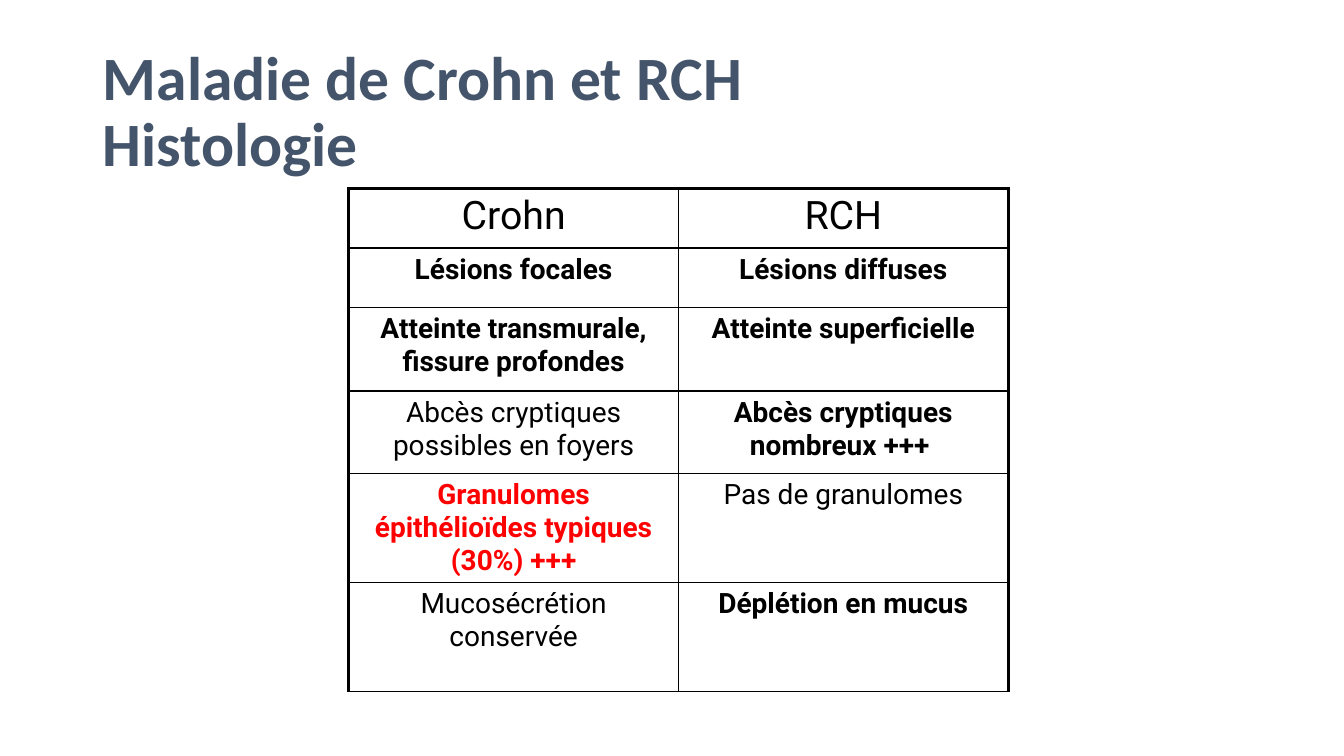
from dataclasses import dataclass

from lxml.etree import SubElement
from pptx import Presentation
from pptx.dml.color import RGBColor
from pptx.enum.text import MSO_ANCHOR, MSO_AUTO_SIZE, PP_ALIGN
from pptx.oxml import parse_xml
from pptx.oxml.ns import nsdecls, qn
from pptx.util import Inches, Pt


@dataclass(frozen=True)
class Theme:
    title_color: str = "44546A"
    text_color: str = "000000"
    accent_color: str = "FF0000"
    title_font: str = "Calibri"
    table_font: str = "Roboto"
    title_size: int = 44
    heading_size: int = 28
    finding_size: int = 20
    inner_line: float = 1
    outer_line: float = 2.25


THEME = Theme()
TITLE_LINES = ("Maladie de Crohn et RCH", "Histologie")
DISEASES = ("Crohn", "RCH")
FINDINGS = (
    ("Lésions focales", "Lésions diffuses"),
    ("Atteinte transmurale, fissure profondes", "Atteinte superficielle"),
    ("Abcès cryptiques possibles en foyers", "Abcès cryptiques nombreux +++ "),
    ("Granulomes épithélioïdes typiques (30%) +++", "Pas de granulomes"),
    ("Mucosécrétion conservée", "Déplétion en mucus"),
)
PLAIN = {FINDINGS[2][0], FINDINGS[3][1], FINDINGS[4][0], *DISEASES}
KEY_FINDING = FINDINGS[3][0]
ROW_HEIGHTS = (0.59, 0.59, 0.83, 0.82, 1.08, 1.08)


def apply_format(target, values):
    for attribute, value in values.items():
        setattr(target, attribute, value)


def style_font(font, color, **values):
    apply_format(font, values)
    font.color.rgb = RGBColor.from_string(color)


def draw_border(cell, side, width):
    properties = cell._tc.get_or_add_tcPr()
    line = SubElement(properties, qn(f"a:ln{side}"), w=str(Pt(width)))
    fill = SubElement(line, qn("a:solidFill"))
    SubElement(fill, qn("a:srgbClr"), val=THEME.text_color)


def add_title(slide, left, top, width, height):
    title = slide.shapes.title
    apply_format(title, {"left": Inches(left), "top": Inches(top),
                         "width": Inches(width), "height": Inches(height)})
    frame = title.text_frame
    apply_format(frame, {"word_wrap": True, "auto_size": MSO_AUTO_SIZE.NONE,
                         "vertical_anchor": MSO_ANCHOR.MIDDLE})
    heading = frame.paragraphs[0]
    apply_format(heading, {"alignment": PP_ALIGN.LEFT, "line_spacing": 0.9})
    for index, line in enumerate(TITLE_LINES):
        if index:
            heading.add_line_break()
        run = heading.add_run()
        run.text = line
        style_font(run.font, THEME.title_color, name=THEME.title_font,
                   size=Pt(THEME.title_size), bold=True)


def fill_cell(cell, text, size):
    paragraph = cell.text_frame.paragraphs[0]
    paragraph.alignment = PP_ALIGN.CENTER
    paragraph._p.get_or_add_pPr().insert(0, parse_xml(
        f'<a:spcBef {nsdecls("a")}><a:spcPct val="20000"/></a:spcBef>'))
    run = paragraph.add_run()
    run.text = text
    color = THEME.accent_color if text == KEY_FINDING else THEME.text_color
    style_font(run.font, color, name=THEME.table_font, size=Pt(size),
               bold=text not in PLAIN)


def add_comparison(slide, left, top, width):
    rows = (DISEASES, *FINDINGS)
    table = slide.shapes.add_table(
        len(rows), len(DISEASES), Inches(left), Inches(top),
        Inches(width), Inches(sum(ROW_HEIGHTS))).table
    apply_format(table, {"first_row": False, "horz_banding": False})
    last_column = len(DISEASES) - 1
    for row_index, (texts, height) in enumerate(zip(rows, ROW_HEIGHTS)):
        table.rows[row_index].height = Inches(height)
        size = THEME.finding_size if row_index else THEME.heading_size
        for column_index, text in enumerate(texts):
            cell = table.cell(row_index, column_index)
            fill_cell(cell, text, size)
            outer_sides = {"L": column_index == 0, "R": column_index == last_column,
                           "T": row_index == 0, "B": False}
            for side, is_outer in outer_sides.items():
                draw_border(cell, side, THEME.outer_line if is_outer else THEME.inner_line)
            cell.fill.background()


def build_histology_slide(presentation):
    slide = presentation.slides.add_slide(presentation.slide_layouts[5])
    add_title(slide, 0.92, 0.4, 11.5, 1.45)
    add_comparison(slide, 3.46, 1.87, 6.54)


def main():
    presentation = Presentation()
    apply_format(presentation, {"slide_width": Inches(13.33), "slide_height": Inches(7.5)})
    build_histology_slide(presentation)
    presentation.save("out.pptx")


if __name__ == "__main__":
    main()
